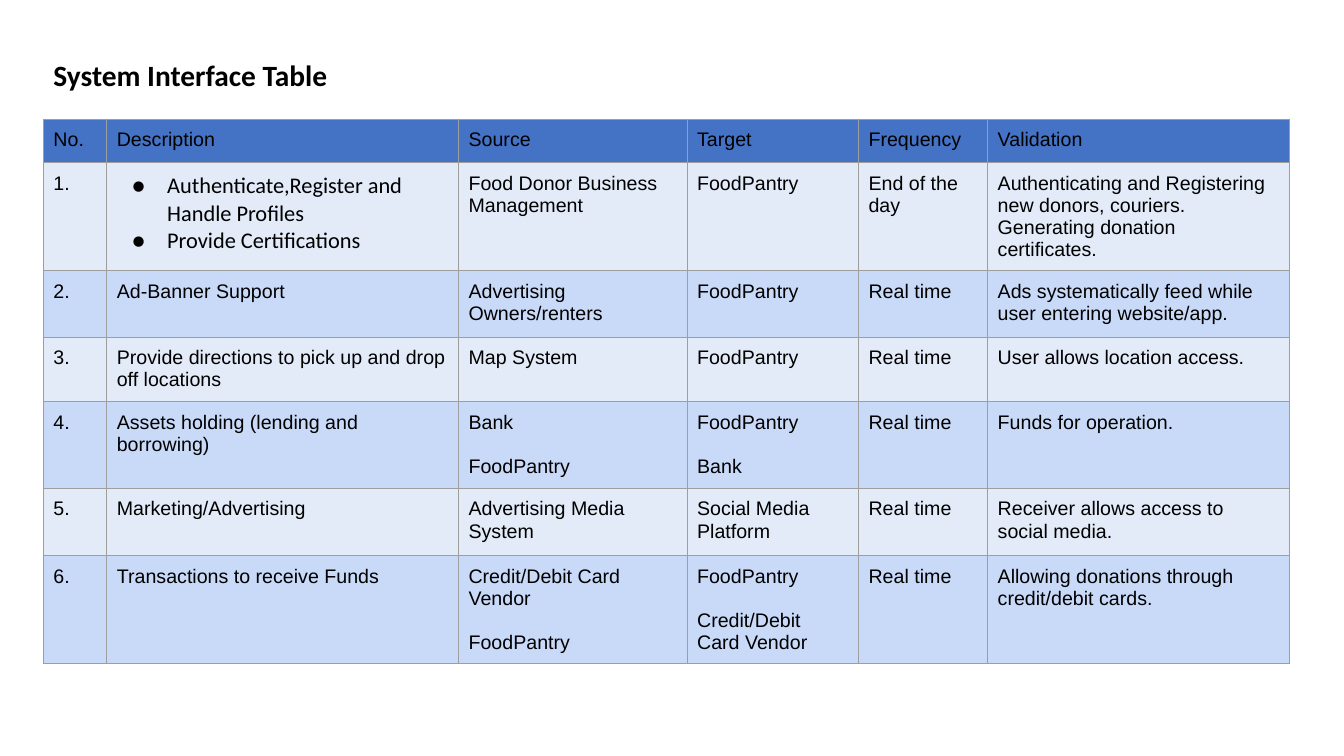
import pptx
import pptx.dml.color
import pptx.enum.text
import pptx.oxml.ns
import pptx.util
from lxml import etree

Pt = pptx.util.Pt
INSET = Pt(7.2)
LINE_GAP = Pt(15.7)
COLUMN_WIDTHS = (45.25, 251.25, 163.25, 122.5, 92.25, 215.5)
ROW_HEIGHTS = (31, 77.2, 47.4, 45.8, 62, 48, 77.2)
HEADER_FILL, BAND_FILLS = "4472C4", ("C9DAF8", "E3EBF9")

INTERFACES = [
    ("No.", "Description", "Source", "Target", "Frequency", "Validation"),
    ("1.", "Authenticate,Register and Handle Profiles\nProvide Certifications",
     "Food Donor Business Management", "FoodPantry", "End of the day",
     "Authenticating and Registering new donors, couriers.\n"
     "Generating donation certificates."),
    ("2.", "Ad-Banner Support", "Advertising Owners/renters", "FoodPantry",
     "Real time", "Ads systematically feed while user entering website/app."),
    ("3.", "Provide directions to pick up and drop off locations", "Map System",
     "FoodPantry", "Real time", "User allows location access."),
    ("4.", "Assets holding (lending and borrowing)", "Bank\nFoodPantry",
     "FoodPantry\nBank", "Real time", "Funds for operation."),
    ("5.", "Marketing/Advertising", "Advertising Media System",
     "Social Media Platform", "Real time",
     "Receiver allows access to social media."),
    ("6.", "Transactions to receive Funds", "Credit/Debit Card Vendor\nFoodPantry",
     "FoodPantry\nCredit/Debit Card Vendor", "Real time",
     "Allowing donations through credit/debit cards."),
]


def color(hex_text):
    """Turn a hex string into a colour."""
    return pptx.dml.color.RGBColor.from_string(hex_text)


def add_element(parent, tag, **attributes):
    """Append a drawing element to parent and return it."""
    return etree.SubElement(parent, pptx.oxml.ns.qn(tag), attributes)


def set_insets(target):
    """Give a cell or text frame equal insets on all sides."""
    target.margin_left = target.margin_right = INSET
    target.margin_top = target.margin_bottom = INSET


def style_runs(paragraph, size, font_name, bold=False):
    """Format every run of a paragraph in black."""
    for run in paragraph.runs:
        run.font.size, run.font.name, run.font.bold = Pt(size), font_name, bold
        run.font.color.rgb = color("000000")


def add_bullet(paragraph):
    """Give a paragraph a round bullet and a hanging indent."""
    properties = paragraph._p.get_or_add_pPr()
    properties.set("marL", str(Pt(36)))
    properties.set("indent", str(-Pt(25.2)))
    bullet_color = add_element(properties, "a:buClr")
    add_element(bullet_color, "a:srgbClr", val="000000")
    add_element(properties, "a:buFont", typeface="Calibri")
    add_element(properties, "a:buChar", char="●")


def outline_cell(cell):
    """Draw a thin grey border on all four sides of a cell."""
    properties = cell._tc.get_or_add_tcPr()
    for side in ("a:lnL", "a:lnR", "a:lnT", "a:lnB"):
        border = add_element(properties, side, w=str(Pt(0.75)))
        border_fill = add_element(border, "a:solidFill")
        add_element(border_fill, "a:srgbClr", val="9E9E9E")


def fill_cell(cell, heading, text, fill):
    """Write and style one cell according to its column heading."""
    set_insets(cell)
    outline_cell(cell)
    cell.fill.solid()
    cell.fill.fore_color.rgb = color(fill)
    cell.text_frame.text = text
    paragraphs = cell.text_frame.paragraphs
    bulleted = heading == "Description" and len(paragraphs) > 1
    for paragraph in paragraphs:
        if bulleted:
            add_bullet(paragraph)
            style_runs(paragraph, 16, "Calibri")
        else:
            style_runs(paragraph, 14, "Arial")
    if heading in ("Source", "Target"):
        for paragraph in paragraphs[1:]:
            paragraph.space_before = LINE_GAP


def place_title(slide, left, top, width, height):
    """Move the title placeholder into its box and format it."""
    title = slide.shapes.title
    title.left, title.top, title.width, title.height = left, top, width, height
    frame = title.text_frame
    frame.text = "System Interface Table"
    frame.word_wrap = True
    frame.auto_size = pptx.enum.text.MSO_AUTO_SIZE.NONE
    frame.vertical_anchor = pptx.enum.text.MSO_ANCHOR.MIDDLE
    set_insets(frame)
    frame.paragraphs[0].alignment = pptx.enum.text.PP_ALIGN.LEFT
    style_runs(frame.paragraphs[0], 21, "Calibri", bold=True)


def place_interfaces(slide, left, top, width, height):
    """Build the banded interface table in its box."""
    table = slide.shapes.add_table(
        len(INTERFACES), len(COLUMN_WIDTHS), left, top, width, height).table
    for column, column_width in zip(table.columns, COLUMN_WIDTHS):
        column.width = Pt(column_width)
    for row, row_height in zip(table.rows, ROW_HEIGHTS):
        row.height = Pt(row_height)
    for number, entries in enumerate(INTERFACES):
        fill = BAND_FILLS[number % 2] if number else HEADER_FILL
        for index, text in enumerate(entries):
            fill_cell(table.cell(number, index), INTERFACES[0][index], text, fill)


def main():
    """Build the slide and save it."""
    deck = pptx.Presentation()
    deck.slide_width, deck.slide_height = Pt(960), Pt(540)
    slide = deck.slides.add_slide(deck.slide_layouts[5])
    place_title(slide, Pt(31), Pt(33), Pt(549), Pt(40.5))
    place_interfaces(slide, Pt(31), Pt(85), Pt(sum(COLUMN_WIDTHS)), Pt(sum(ROW_HEIGHTS)))
    deck.save("out.pptx")


main()
